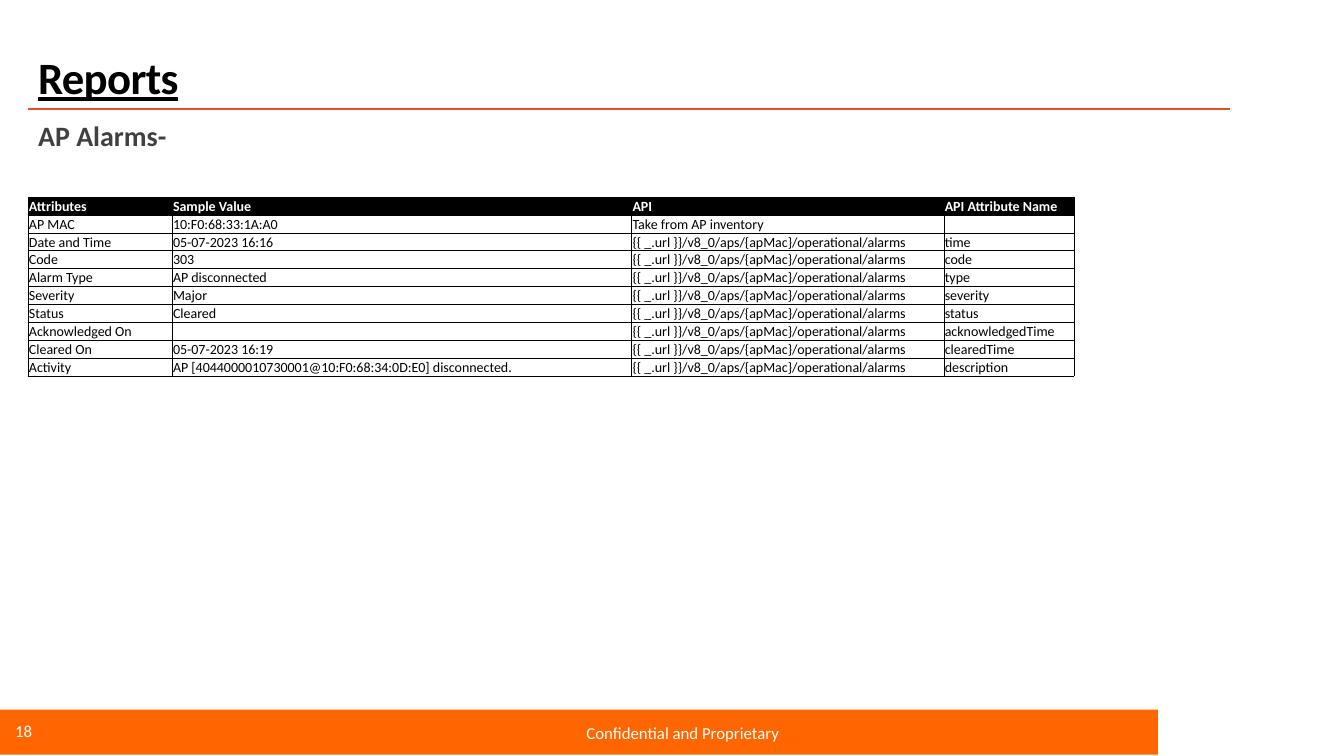
import lxml.etree
import pptx
import pptx.dml.color
import pptx.enum.shapes
import pptx.enum.text
import pptx.oxml.ns
import pptx.util

Cm = pptx.util.Cm
Pt = pptx.util.Pt
qn = pptx.oxml.ns.qn
ANCHOR = pptx.enum.text.MSO_ANCHOR

COLORS = {
    "black": "000000",
    "white": "FFFFFF",
    "subtitle": "404040",
    "rule": "E84C22",
    "footer": "FF6600",
}
FONT = "Calibri"
TITLE = "Reports"
SUBTITLE = "AP Alarms-"
FOOTER_NOTE = "Confidential and Proprietary"
PAGE_NUMBER = "18"

HEADINGS = ("Attributes", "Sample Value", "API", "API Attribute Name")
ALARMS_API = "{{ _.url }}/v8_0/aps/{apMac}/operational/alarms"
INVENTORY_ROW = ("AP MAC", "10:F0:68:33:1A:A0", "Take from AP inventory", "")
ALARM_FIELDS = [
    ("Date and Time", "05-07-2023 16:16", "time"),
    ("Code", "303", "code"),
    ("Alarm Type", "AP disconnected", "type"),
    ("Severity", "Major", "severity"),
    ("Status", "Cleared", "status"),
    ("Acknowledged On", "", "acknowledgedTime"),
    ("Cleared On", "05-07-2023 16:19", "clearedTime"),
    ("Activity", "AP [4044000010730001@10:F0:68:34:0D:E0] disconnected.", "description"),
]
COLUMN_WIDTHS = (3.63, 11.58, 7.87, 3.28)
ROW_HEIGHT = 0.45
LEFT = 0.71
CONTENT_WIDTH = 30.28
RULE_TOP = 2.74


def rgb(name):
    return pptx.dml.color.RGBColor.from_string(COLORS[name])


def style(paragraph, size, color, bold=False):
    font = paragraph.font
    font.name = FONT
    font.size = Pt(size)
    font.bold = bold
    font.color.rgb = rgb(color)


def add_text(slide, text, left, top, width, height, size, color, bold=False):
    box = slide.shapes.add_textbox(Cm(left), Cm(top), Cm(width), Cm(height))
    box.text_frame.word_wrap = True
    paragraph = box.text_frame.paragraphs[0]
    paragraph.text = text
    style(paragraph, size, color, bold)
    return box.text_frame


def add_borders(cell):
    properties = cell._tc.get_or_add_tcPr()
    for position, side in enumerate(("lnL", "lnR", "lnT", "lnB")):
        line = lxml.etree.Element(qn("a:" + side), w=str(Pt(0.5)))
        fill = lxml.etree.SubElement(line, qn("a:solidFill"))
        lxml.etree.SubElement(fill, qn("a:srgbClr"), val=COLORS["black"])
        properties.insert(position, line)


def fill_cell(cell, text, is_heading, anchor):
    cell.margin_left = cell.margin_right = cell.margin_top = Cm(0.02)
    cell.margin_bottom = 0
    cell.vertical_anchor = anchor
    paragraph = cell.text_frame.paragraphs[0]
    if text:
        paragraph.text = text
    else:
        lxml.etree.SubElement(paragraph._p, qn("a:endParaRPr"), sz="1000")
    style(paragraph, 10, "white" if is_heading else "black", is_heading)
    if is_heading:
        cell.fill.solid()
        cell.fill.fore_color.rgb = rgb("black")
    else:
        cell.fill.background()
    add_borders(cell)


def add_alarm_table(slide):
    rows = [HEADINGS, INVENTORY_ROW]
    rows += [(label, sample, ALARMS_API, name) for label, sample, name in ALARM_FIELDS]
    table = slide.shapes.add_table(
        len(rows), len(HEADINGS), Cm(LEFT), Cm(4.97),
        Cm(sum(COLUMN_WIDTHS)), Cm(ROW_HEIGHT * len(rows)),
    ).table
    table.first_row = table.horz_banding = False
    for column, width in zip(table.columns, COLUMN_WIDTHS):
        column.width = Cm(width)
    for r, row in enumerate(rows):
        table.rows[r].height = Cm(ROW_HEIGHT)
        for c, text in enumerate(row):
            anchor = ANCHOR.BOTTOM if r > 1 and c > 1 else ANCHOR.MIDDLE
            fill_cell(table.cell(r, c), text, r == 0, anchor)


def add_footer(slide):
    band = slide.shapes.add_shape(
        pptx.enum.shapes.MSO_SHAPE.RECTANGLE, 0, Cm(17.88), Cm(29.18), Cm(1.14)
    )
    band.shadow.inherit = False
    band.fill.solid()
    band.fill.fore_color.rgb = rgb("footer")
    band.line.fill.background()
    add_text(slide, FOOTER_NOTE, 14.53, 18.08, 13.39, 1.02, 12, "white")
    add_text(slide, PAGE_NUMBER, 0.13, 18.03, 3.63, 1.02, 12, "white")


def add_header(slide):
    rule = slide.shapes.add_connector(
        pptx.enum.shapes.MSO_CONNECTOR.STRAIGHT,
        Cm(LEFT), Cm(RULE_TOP), Cm(LEFT + CONTENT_WIDTH), Cm(RULE_TOP),
    )
    rule.line.color.rgb = rgb("rule")
    rule.line.width = Pt(1.5)
    lxml.etree.SubElement(rule._element.spPr, qn("a:effectLst"))

    title = add_text(slide, TITLE, LEFT, 1.09, CONTENT_WIDTH, 1.65, 32, "black", True)
    title.vertical_anchor = ANCHOR.BOTTOM
    heading = title.paragraphs[0]
    heading.alignment = pptx.enum.text.PP_ALIGN.JUSTIFY
    heading.line_spacing = 1.07
    heading.space_after = Pt(8)
    heading.font.underline = True
    heading.runs[0]._r.get_or_add_rPr().set("spc", "-50")

    subtitle = add_text(
        slide, SUBTITLE, LEFT, 2.95, CONTENT_WIDTH, 13.34, 20, "subtitle", True
    )
    subtitle.paragraphs[0].line_spacing = 0.9
    subtitle.paragraphs[0].space_after = Pt(2)


def main():
    deck = pptx.Presentation()
    deck.slide_width = Cm(33.87)
    deck.slide_height = Cm(19.05)
    slide = deck.slides.add_slide(deck.slide_layouts[6])
    add_footer(slide)
    add_header(slide)
    add_alarm_table(slide)
    deck.save("out.pptx")


if __name__ == "__main__":
    main()
